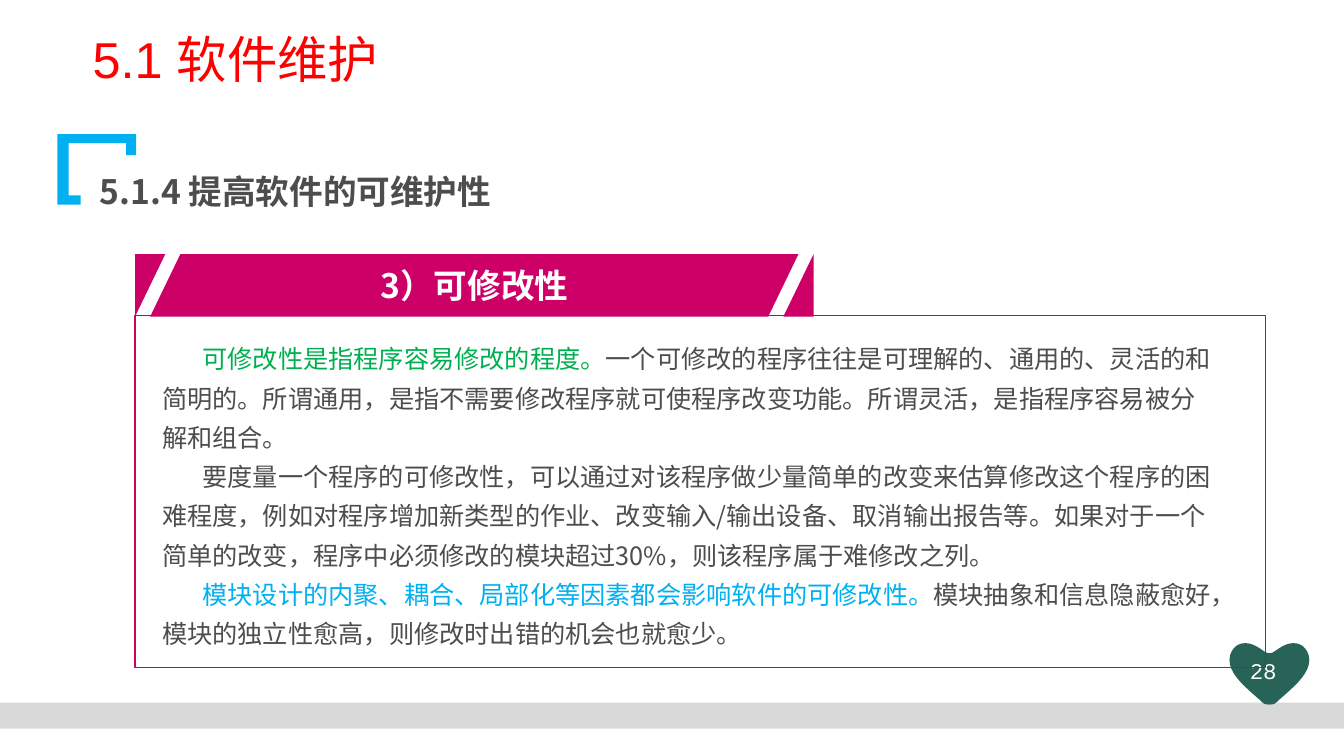
from pptx import Presentation
from pptx.dml.color import RGBColor
from pptx.enum.shapes import MSO_SHAPE as Preset
from pptx.enum.text import MSO_ANCHOR as Anchor, PP_ALIGN as Align
from pptx.oxml.ns import qn
from pptx.util import Inches, Pt

GRID = Inches(1)
COLUMNS, ROWS = 13.33, 7.5
CJK = "Noto Sans CJK SC"
GREY, WHITE, CYAN, GREEN = "4D4D4D", "FFFFFF", "00B0F0", "00B050"
MAGENTA, PINE, RED, SILVER = "CC0066", "276357", "FF0000", "D9D9D9"

DEFINITION = [
    ("可修改性是指程序容易修改的程度。", GREEN),
    ("一个可修改的程序往往是可理解的、通用的、灵活的和简明的。所谓通用，"
     "是指不需要修改程序就可使程序改变功能。所谓灵活，是指程序容易被分解和组合。", GREY),
]
MEASUREMENT = [
    ("要度量一个程序的可修改性，可以通过对该程序做少量简单的改变来估算修改这个程序的困难程度，"
     "例如对程序增加新类型的作业、改变输入/输出设备、取消输出报告等。"
     "如果对于一个简单的改变，程序中必须修改的模块超过30%，则该程序属于难修改之列。", GREY),
]
FACTORS = [
    ("模块设计的内聚、耦合、局部化等因素都会影响软件的可修改性。", CYAN),
    ("模块抽象和信息隐蔽愈好，模块的独立性愈高，则修改时出错的机会也就愈少。", GREY),
]


def cells(*counts):
    return [round(count * GRID) for count in counts]


def colour(code):
    return RGBColor.from_string(code)


def paint(shape, fill=None, line=None):
    shape.shadow.inherit = False
    if fill:
        shape.fill.solid()
        shape.fill.fore_color.rgb = colour(fill)
    else:
        shape.fill.background()
    if line:
        shape.line.color.rgb = colour(line)
        shape.line.width = Pt(1)
    else:
        shape.line.fill.background()
    return shape


def add_rectangle(page, place, fill=None, line=None):
    return paint(page.shapes.add_shape(Preset.RECTANGLE, *cells(*place)), fill, line)


def add_outline(page, contours, fill):
    first, *others = [[cells(*point) for point in contour] for contour in contours]
    builder = page.shapes.build_freeform(*first[0])
    builder.add_line_segments(first[1:])
    for contour in others:
        builder.move_to(*contour[0])
        builder.add_line_segments(contour[1:])
    return paint(builder.convert_to_shape(), fill)


def write(frame, paragraphs, size, font=CJK, bold=False, spacing=1.0,
          align=Align.LEFT, indent=0):
    frame.word_wrap = True
    for index, runs in enumerate(paragraphs):
        para = frame.paragraphs[0] if index == 0 else frame.add_paragraph()
        para.alignment = align
        para.line_spacing = spacing
        if indent:
            para._p.get_or_add_pPr().set("indent", str(cells(indent)[0]))
        for text, code in runs:
            span = para.add_run()
            span.text = text
            span.font.name = font
            span.font.size = Pt(size)
            span.font.bold = bold
            span.font.color.rgb = colour(code)
            east = span._r.get_or_add_rPr().makeelement(qn("a:ea"), {"typeface": CJK})
            span.font._element.find(qn("a:latin")).addnext(east)


def add_text(page, place, paragraphs, size, **style):
    box = page.shapes.add_textbox(*cells(*place))
    write(box.text_frame, paragraphs, size, **style)
    return box


def curve(start, first, second, end, steps=10):
    for step in range(1, steps + 1):
        t = step / steps
        weights = ((1 - t) ** 3, 3 * t * (1 - t) ** 2, 3 * t * t * (1 - t), t ** 3)
        yield tuple(sum(weight * point[axis] for weight, point
                        in zip(weights, (start, first, second, end)))
                    for axis in (0, 1))


def add_heart(page, middle):
    top, notch, side, foot, tip = (0, 6.48), (0.1, 6.43), (0.39, 6.5), (0.1, 6.94), (0, 6.99)
    half = [top,
            *curve(top, (0.04, 6.48), (0.05, 6.46), notch),
            *curve(notch, (0.2, 6.36), (0.34, 6.35), side),
            *curve(side, (0.43, 6.66), (0.26, 6.8), foot),
            *curve(foot, (0.06, 6.98), (0.05, 6.99), tip)]
    right = [(middle + x, y) for x, y in half]
    left = [(middle - x, y) for x, y in reversed(half)]
    add_outline(page, [right + left], PINE)


def add_bracket(page):
    corners = [(0.57, 1.33), (1.35, 1.33), (1.35, 1.54), (1.25, 1.54), (1.25, 1.42),
               (0.68, 1.42), (0.68, 1.94), (0.8, 1.94), (0.8, 2.03), (0.57, 2.03)]
    add_outline(page, [corners], CYAN)


def add_banner(page, text):
    left, right, top, bottom = 1.34, 8.07, 2.52, 3.14
    slant, gap = 0.3, 0.15
    head = [(left, top), (left + slant, top), (left, bottom)]
    body = [(left + slant + gap, top), (right - gap, top),
            (right - gap - slant, bottom), (left + gap, bottom)]
    tail = [(right, top), (right, bottom), (right - slant, bottom)]
    banner = add_outline(page, [head, body, tail], MAGENTA)
    banner.text_frame.vertical_anchor = Anchor.MIDDLE
    write(banner.text_frame, [[(text, WHITE)]], 24, bold=True, align=Align.CENTER)


def main():
    deck = Presentation()
    deck.slide_width, deck.slide_height = cells(COLUMNS, ROWS)
    page = deck.slides.add_slide(deck.slide_layouts[6])

    add_bracket(page)
    add_rectangle(page, (0, 6.97, COLUMNS, 0.26), fill=SILVER)
    add_heart(page, 12.59)
    add_text(page, (12.18, 6.47, 0.7, 0.39), [[("28", WHITE)]], 16,
             font="Courier New", align=Align.CENTER)

    add_text(page, (0.82, 0.3, 9.2, 0.94), [[("5.1 软件维护", RED)]], 36,
             font="Arial", spacing=0.9)
    add_text(page, (0.89, 1.53, 6.32, 0.57), [[("5.1.4 提高软件的可维护性", GREY)]], 24,
             bold=True, spacing=1.3)

    add_rectangle(page, (1.34, 3.13, 11.21, 3.49), line=MAGENTA)
    add_banner(page, "3）可修改性")
    add_text(page, (1.51, 3.27, 10.69, 3.25), [DEFINITION, MEASUREMENT, FACTORS], 18,
             spacing=1.3, indent=0.4)

    deck.save("out.pptx")


if __name__ == "__main__":
    main()
